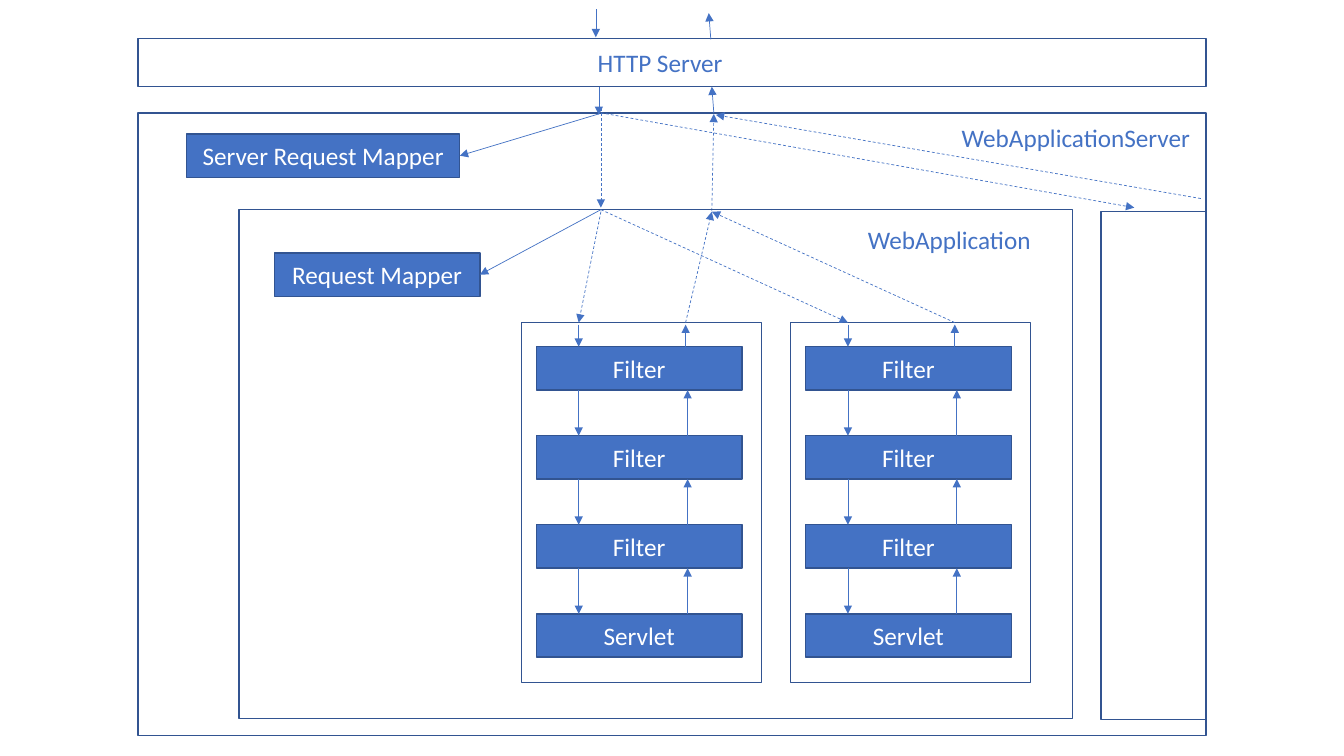
"""Draw the request flow from an HTTP server through filters to servlets."""
from lxml.etree import SubElement
from pptx import Presentation
from pptx.dml.color import RGBColor
from pptx.enum.dml import MSO_LINE
from pptx.enum.shapes import MSO_CONNECTOR, MSO_SHAPE
from pptx.enum.text import MSO_ANCHOR, MSO_AUTO_SIZE, PP_ALIGN
from pptx.oxml.ns import qn
from pptx.util import Inches, Pt

BLUE, BORDER, WHITE = "4472C4", "325491", "FFFFFF"
STAGES = ["Filter", "Filter", "Filter", "Servlet"]
STAGE_TOP, STAGE_HEIGHT = 3.44, 0.43
STAGE_PITCH = (6.09 - STAGE_TOP) / 3
CHAIN_TOP = 3.2


def color(hex_text):
    """Turn a hex string into a colour."""
    return RGBColor.from_string(hex_text)


def write(shape, words, hex_text):
    """Set a single line of text and format it."""
    shape.text_frame.text = words
    font = shape.text_frame.paragraphs[0].runs[0].font
    font.name, font.size = "Calibri", Pt(18)
    font.color.rgb = color(hex_text)


def add_frame(slide, left, top, width, height):
    """Add an unfilled rectangle with a thin border."""
    frame = slide.shapes.add_shape(
        MSO_SHAPE.RECTANGLE, Inches(left), Inches(top), Inches(width), Inches(height))
    frame.shadow.inherit = False
    frame.fill.background()
    frame.line.color.rgb = color(BORDER)
    frame.line.width = Pt(1)
    return frame


def add_block(slide, words, left, top, width=2.04):
    """Add a filled block with centred white text."""
    block = add_frame(slide, left, top, width, STAGE_HEIGHT)
    block.fill.solid()
    block.fill.fore_color.rgb = color(BLUE)
    write(block, words, WHITE)
    block.text_frame.vertical_anchor = MSO_ANCHOR.MIDDLE
    block.text_frame.paragraphs[0].alignment = PP_ALIGN.CENTER
    return block


def add_label(slide, words, left, top, width):
    """Add a blue caption."""
    label = slide.shapes.add_textbox(
        Inches(left), Inches(top), Inches(width), Inches(0.4))
    label.text_frame.word_wrap = True
    label.text_frame.auto_size = MSO_AUTO_SIZE.SHAPE_TO_FIT_TEXT
    write(label, words, BLUE)


def add_arrow(slide, start, end, dashed=False):
    """Add a thin arrow from start to end."""
    arrow = slide.shapes.add_connector(
        MSO_CONNECTOR.STRAIGHT, *(Inches(length) for length in (*start, *end)))
    arrow.line.color.rgb = color(BLUE)
    arrow.line.width = Pt(0.5)
    if dashed:
        arrow.line.dash_style = MSO_LINE.DASH
    SubElement(arrow.line._get_or_add_ln(), qn("a:tailEnd"), type="triangle")
    SubElement(arrow._element.spPr, qn("a:effectLst"))
    return arrow


def add_chain(slide, left):
    """Add a frame holding filters and a servlet, with arrows both ways."""
    request_x, response_x = left + 0.57, left + 1.65
    for index, stage in enumerate(STAGES):
        top = STAGE_TOP + index * STAGE_PITCH
        add_block(slide, stage, left + 0.15, top)
        if index:
            above = top - STAGE_PITCH + STAGE_HEIGHT
            add_arrow(slide, (request_x, above), (request_x, top))
            add_arrow(slide, (response_x, top), (response_x, above))
    add_arrow(slide, (request_x, CHAIN_TOP + 0.02), (request_x, STAGE_TOP))
    add_arrow(slide, (left + 1.63, STAGE_TOP), (left + 1.63, CHAIN_TOP + 0.02))
    add_frame(slide, left, CHAIN_TOP, 2.38, 3.57)


def add_web_application(slide):
    """Add the web application with its mapper and two chains."""
    add_frame(slide, 2.37, 2.08, 8.27, 5.05)
    add_label(slide, "WebApplication", 8.51, 2.18, 1.85)
    for left in (5.17, 7.84):
        add_chain(slide, left)
    request_mapper = add_block(slide, "Request Mapper", 2.72, 2.51)
    add_arrow(slide, (5.96, 2.08), (4.76, 2.73)).end_connect(request_mapper, 3)
    for start, end in [
        ((5.96, 2.1), (5.74, CHAIN_TOP)),
        ((6.8, CHAIN_TOP), (7.06, 2.1)),
        ((5.96, 2.08), (8.41, CHAIN_TOP)),
        ((9.47, CHAIN_TOP), (7.06, 2.1)),
    ]:
        add_arrow(slide, start, end, dashed=True)


def add_application_server(slide):
    """Add the application server, its mapper and a second application."""
    add_frame(slide, 1.37, 1.12, 10.59, 6.18)
    add_frame(slide, 10.92, 2.1, 1.04, 5.04)
    add_label(slide, "WebApplicationServer", 9.44, 1.16, 2.55)
    server_mapper = add_block(slide, "Server Request Mapper", 1.85, 1.33, 2.71)
    add_arrow(slide, (5.94, 1.13), (4.56, 1.55)).end_connect(server_mapper, 3)
    for start, end in [
        ((5.96, 1.07), (5.96, 2.06)),
        ((7.06, 2.09), (7.08, 1.13)),
        ((5.96, 1.12), (11.25, 2.06)),
        ((11.91, 1.97), (7.1, 1.14)),
    ]:
        add_arrow(slide, start, end, dashed=True)


def add_http_server(slide):
    """Add the HTTP server with its incoming and outgoing arrows."""
    add_frame(slide, 1.37, 0.38, 10.59, 0.48)
    add_label(slide, "HTTP Server", 5.83, 0.42, 2.55)
    for start, end in [
        ((5.91, 0.09), (5.91, 0.37)),
        ((5.94, 0.86), (5.94, 1.14)),
        ((7.08, 1.12), (7.06, 0.86)),
        ((7.05, 0.39), (7.03, 0.13)),
    ]:
        add_arrow(slide, start, end)


def main():
    """Build and save the slide."""
    deck = Presentation()
    deck.slide_width, deck.slide_height = Inches(13.33), Inches(7.5)
    slide = deck.slides.add_slide(deck.slide_layouts[6])
    add_application_server(slide)
    add_web_application(slide)
    add_http_server(slide)
    deck.save("out.pptx")


if __name__ == "__main__":
    main()
